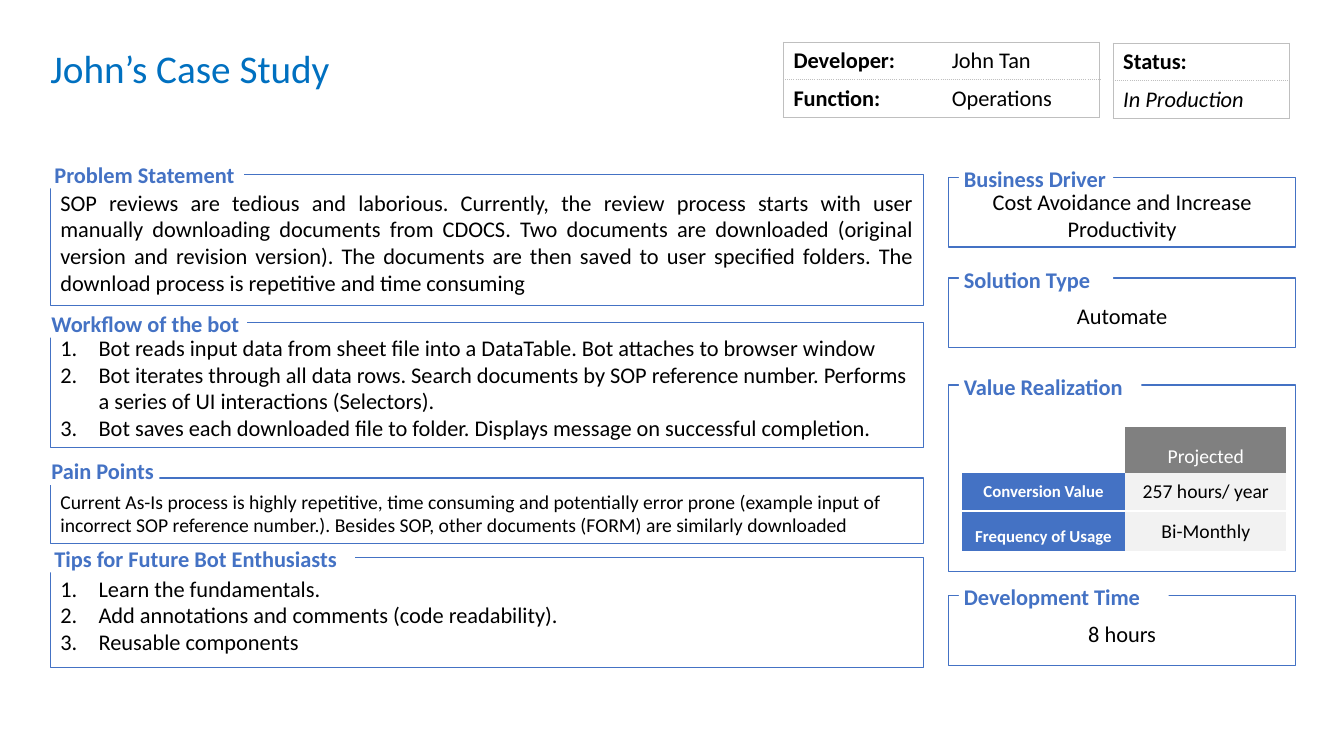
from lxml import etree
from pptx import Presentation
from pptx.dml.color import RGBColor
from pptx.enum.shapes import MSO_SHAPE
from pptx.enum.text import MSO_ANCHOR, MSO_AUTO_SIZE, PP_ALIGN
from pptx.oxml.ns import qn
from pptx.util import Inches, Pt

LEFT, CENTER, JUSTIFY = PP_ALIGN.LEFT, PP_ALIGN.CENTER, PP_ALIGN.JUSTIFY
TOP, MIDDLE = MSO_ANCHOR.TOP, MSO_ANCHOR.MIDDLE
RECTANGLE, NO_AUTOFIT = MSO_SHAPE.RECTANGLE, MSO_AUTO_SIZE.NONE
FONT = "Calibri"
BLUE, TITLE_BLUE, WHITE, BLACK = "4472C4", "0070C0", "FFFFFF", "000000"
GREY, PALE, RULE = "808080", "F2F2F2", "BFBFBF"
NO_GRID_STYLE = "{2D5ABB26-0587-4C30-8999-92F81FD0307C}"
HAIRLINE, DOTTED, GAP = (RULE, 0.75, "solid"), (RULE, 0.75, "sysDot"), (WHITE, 1.5, "solid")


def color(hex_value):
    return RGBColor.from_string(hex_value)


def paint(target, hex_value):
    target.fill.solid()
    target.fill.fore_color.rgb = color(hex_value)


def inches(*lengths):
    return [Inches(length) for length in lengths]


def set_margins(target, left, top, right, bottom):
    target.margin_left, target.margin_top, target.margin_right, target.margin_bottom = inches(
        left, top, right, bottom)


def write(frame, text, size=16, ink=BLACK, bold=False, italic=False,
          align=LEFT, spacing=None, numbered=False):
    for index, line in enumerate(text.split("\n")):
        paragraph = frame.add_paragraph() if index else frame.paragraphs[0]
        paragraph.alignment = align
        if spacing:
            paragraph.line_spacing = spacing
        if numbered:
            properties = paragraph._p.get_or_add_pPr()
            properties.set("marL", str(Inches(0.38)))
            properties.set("indent", str(Inches(-0.38)))
            etree.SubElement(properties, qn("a:buFont"), typeface="+mj-lt")
            etree.SubElement(properties, qn("a:buAutoNum"), type="arabicPeriod")
        run = paragraph.add_run()
        run.text = line
        font = run.font
        font.name, font.size, font.bold, font.italic = FONT, Pt(size), bold, italic
        font.color.rgb = color(ink)


def add_title(slide, box, text):
    title = slide.shapes.title
    title.left, title.top, title.width, title.height = inches(*box)
    frame = title.text_frame
    frame.auto_size, frame.word_wrap, frame.vertical_anchor = NO_AUTOFIT, True, TOP
    set_margins(frame, 0, 0, 0, 0)
    write(frame, text, size=28, ink=TITLE_BLUE)


def add_panel(slide, box, heading, heading_width, body="", shift=(0.1, -0.12), **text_format):
    left, top, _, _ = box
    panel = slide.shapes.add_shape(RECTANGLE, *inches(*box))
    panel.shadow.inherit = False
    paint(panel, WHITE)
    panel.line.color.rgb = color(BLUE)
    panel.line.width = Pt(1)
    if body:
        frame = panel.text_frame
        frame.word_wrap, frame.vertical_anchor = True, MIDDLE
        set_margins(frame, 0.1, 0.1, 0.1, 0.05)
        write(frame, body, **text_format)

    label = slide.shapes.add_textbox(
        *inches(left + shift[0], top + shift[1], heading_width, 0.27))
    paint(label, WHITE)
    label.text_frame.word_wrap = True
    set_margins(label.text_frame, 0.05, 0, 0, 0)
    write(label.text_frame, heading, ink=BLUE, bold=True)


def add_grid(slide, left, top, widths, heights):
    frame = slide.shapes.add_table(len(heights), len(widths), *inches(
        left, top, sum(widths), sum(heights)))
    grid = frame.table
    grid.first_row = grid.horz_banding = False
    grid._tbl.tblPr.find(qn("a:tableStyleId")).text = NO_GRID_STYLE
    for column, width in zip(grid.columns, widths):
        column.width = Inches(width)
    for row, height in zip(grid.rows, heights):
        row.height = Inches(height)
    return grid


def set_borders(cell, **sides):
    properties = cell._tc.get_or_add_tcPr()
    for side in "LRTB":
        if side in sides:
            hex_value, width, dash = sides[side]
            line = etree.SubElement(properties, qn("a:ln" + side), w=str(Pt(width)))
            fill = etree.SubElement(line, qn("a:solidFill"))
            etree.SubElement(fill, qn("a:srgbClr"), val=hex_value)
            etree.SubElement(line, qn("a:prstDash"), val=dash)


def add_facts(slide, left, top, widths, rows):
    grid = add_grid(slide, left, top, widths, [0.36] * len(rows))
    last_column = len(widths) - 1
    for r, row in enumerate(rows):
        for c, (text, text_format) in enumerate(row):
            cell = grid.cell(r, c)
            sides = {"T": DOTTED if r else HAIRLINE,
                     "B": HAIRLINE if r == len(rows) - 1 else DOTTED}
            if c == 0:
                sides["L"] = HAIRLINE
            if c == last_column:
                sides["R"] = HAIRLINE
            set_borders(cell, **sides)
            paint(cell, WHITE)
            write(cell.text_frame, text, **text_format)


def add_value_table(slide, left, top):
    header = dict(size=14, ink=WHITE, align=CENTER, spacing=1.5)
    measure = dict(size=12, ink=WHITE, bold=True, align=CENTER)
    amount = dict(size=14, align=CENTER)
    rows = [
        [("", WHITE, {}), ("Projected", GREY, header)],
        [("Conversion Value", BLUE, measure), ("257 hours/ year", PALE, amount)],
        [("Frequency of Usage", BLUE, dict(measure, spacing=1.5)), ("Bi-Monthly", PALE, amount)],
    ]
    grid = add_grid(slide, left, top, [1.62, 1.6], [0.44, 0.38, 0.4])
    for r, row in enumerate(rows):
        for c, (text, fill, text_format) in enumerate(row):
            cell = grid.cell(r, c)
            sides = {"R": GAP} if c else {}
            if r:
                sides["B" if r == 1 else "T"] = GAP
            set_borders(cell, **sides)
            paint(cell, fill)
            cell.vertical_anchor = MIDDLE
            if text:
                write(cell.text_frame, text, **text_format)


def add_main_column(slide, left, width):
    add_panel(
        slide, (left, 1.73, width, 1.3), "Problem Statement", 1.93,
        "SOP reviews are tedious and laborious. Currently, the review process starts with user "
        "manually downloading documents from CDOCS. Two documents are downloaded (original "
        "version and revision version). The documents are then saved to user specified folders. "
        "The download process is repetitive and time consuming",
        shift=(-0.01, -0.13), align=JUSTIFY)
    add_panel(
        slide, (left, 3.2, width, 1.24), "Workflow of the bot", 1.99,
        "Bot reads input data from sheet file into a DataTable. Bot attaches to browser window\n"
        "Bot iterates through all data rows. Search documents by SOP reference number. "
        "Performs a series of UI interactions (Selectors).\n"
        "Bot saves each downloaded file to folder. Displays message on successful completion.",
        shift=(-0.04, -0.12), numbered=True)
    add_panel(
        slide, (left, 4.74, width, 0.65), "Pain Points", 1.12,
        "Current As-Is process is highly repetitive, time consuming and potentially error prone "
        "(example input of incorrect SOP reference number.). Besides SOP, other documents "
        "(FORM) are similarly downloaded",
        shift=(-0.04, -0.2), size=14)
    add_panel(
        slide, (left, 5.53, width, 1.09), "Tips for Future Bot Enthusiasts", 3.03,
        "Learn the fundamentals.\nAdd annotations and comments (code readability).\n"
        "Reusable components",
        shift=(-0.01, -0.12), numbered=True)


def add_side_column(slide, left, width):
    for top, height, heading, heading_width, body in [
        (1.76, 0.69, "Business Driver", 1.53, "Cost Avoidance and Increase Productivity"),
        (2.76, 0.69, "Solution Type", 1.53, "Automate"),
        (3.82, 1.85, "Value Realization", 1.81, ""),
        (5.91, 0.69, "Development Time", 2.08, "8 hours"),
    ]:
        add_panel(slide, (left, top, width, height), heading, heading_width, body, align=CENTER)
    add_value_table(slide, left + 0.13, 4.24)


def add_case_study(presentation):
    slide = presentation.slides.add_slide(presentation.slide_layouts[5])
    add_title(slide, (0.5, 0.44, 4.34, 0.47), "John’s Case Study")
    key, plain, status = dict(bold=True), {}, dict(italic=True)
    add_facts(slide, 7.77, 0.42, [1.57, 1.57], [
        [("Developer:", key), ("John Tan", plain)],
        [("Function:", key), ("Operations", plain)],
    ])
    add_facts(slide, 11.04, 0.43, [1.75], [[("Status:", key)], [("In Production", status)]])
    add_main_column(slide, 0.5, 8.66)
    add_side_column(slide, 9.41, 3.44)


deck = Presentation()
deck.slide_width, deck.slide_height = inches(13.33, 7.5)
add_case_study(deck)
deck.save("out.pptx")
